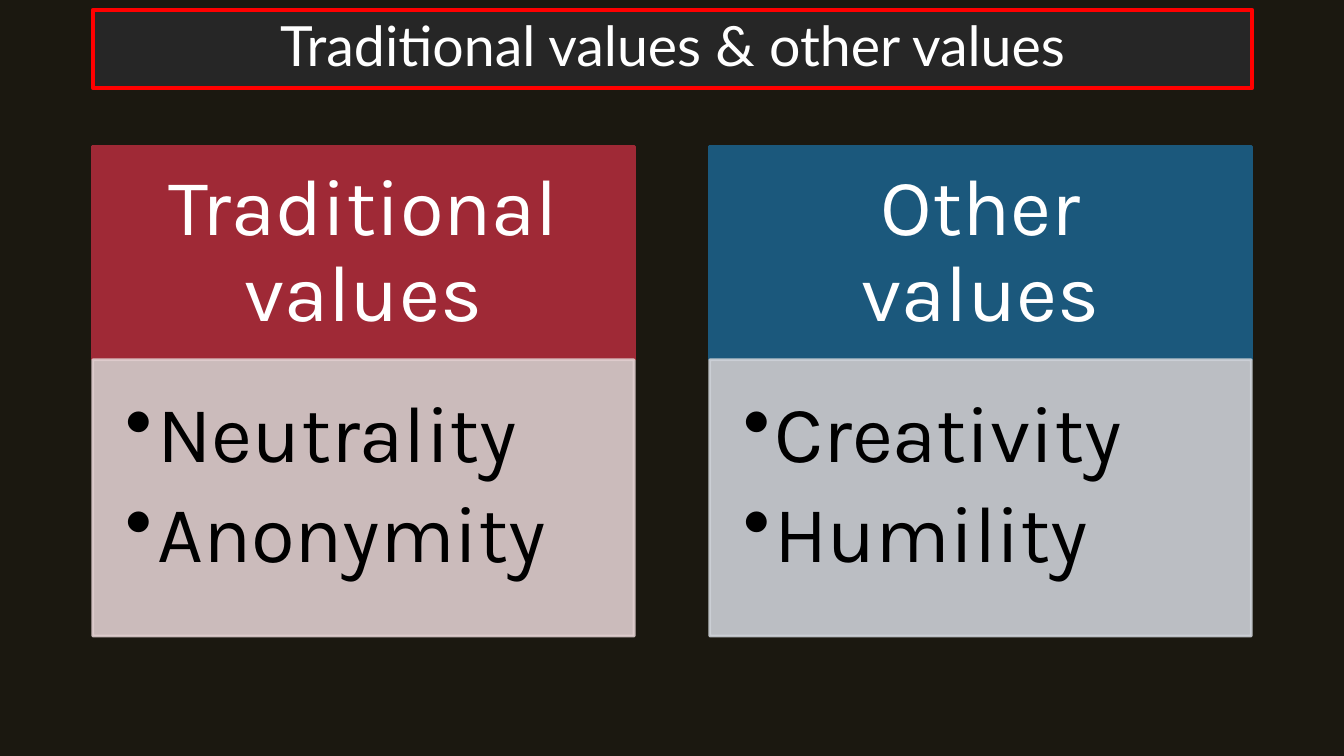
from lxml import etree
from pptx import Presentation
from pptx.dml.color import RGBColor
from pptx.enum.shapes import MSO_SHAPE as SHAPE
from pptx.enum.text import MSO_ANCHOR as ANCHOR, PP_ALIGN as ALIGN
from pptx.oxml.ns import qn
from pptx.util import Inches, Pt

TITLE = "Traditional values & other values"
COLUMNS = [
    ("Traditional values", "9F2936", "DFCDCE", ["Neutrality", "Anonymity"]),
    ("Other values", "1B587C", "CDD1D7", ["Creativity", "Humility"]),
]
LEFT, TOP, WIDTH, GAP = 0.92, 1.45, 5.37, 0.75
HEAD_H, BODY_H = 2.12, 2.74


def color(value):
    return RGBColor.from_string(value)


def paint(sp, fill, line, width):
    sp.fill.solid()
    sp.fill.fore_color.rgb = color(fill)
    sp.line.color.rgb = color(line)
    sp.line.width = Pt(width)


def fade(sp, percent):
    for clr in sp._element.spPr.iter(qn("a:srgbClr")):
        etree.SubElement(clr, qn("a:alpha")).set("val", str(percent * 1000))


def write(sp, lines, font, size, rgb, align, anchor, insets):
    tf = sp.text_frame
    tf.word_wrap = True
    tf.vertical_anchor = anchor
    tf.margin_left, tf.margin_top, tf.margin_right, tf.margin_bottom = map(Inches, insets)
    tf.text = "\n".join(lines)
    for p in tf.paragraphs:
        p.alignment = align
        p.line_spacing = 0.9
        for r in p.runs:
            r.font.name = font
            r.font.size = Pt(size)
            r.font.color.rgb = color(rgb)


def add_bullets(tf):
    for p in tf.paragraphs:
        p.level = 1
        p.space_after = Pt(10)
        pPr = p._p.get_or_add_pPr()
        pPr.set("marL", str(Inches(0.31)))
        pPr.set("indent", str(Inches(-0.31)))
        etree.SubElement(pPr, qn("a:buChar")).set("char", "•")


def add_box(s, x, y, h, fill):
    sp = s.shapes.add_shape(SHAPE.RECTANGLE, Inches(x), Inches(y), Inches(WIDTH), Inches(h))
    sp.shadow.inherit = False
    paint(sp, fill, fill, 2)
    return sp


def add_title(s):
    sp = s.shapes.title
    sp.left, sp.top, sp.width, sp.height = map(Inches, (LEFT, 0.1, 11.5, 0.77))
    geom = etree.Element(qn("a:prstGeom"), prst="roundRect")
    etree.SubElement(geom, qn("a:avLst"))
    sp._element.spPr.insert(1, geom)
    paint(sp, "262626", "FF0000", 3)
    write(sp, [TITLE], "Lato", 39.6, "FFFFFF", ALIGN.CENTER, ANCHOR.MIDDLE, (0.1, 0.05, 0.1, 0.05))


def main():
    prs = Presentation()
    prs.slide_width, prs.slide_height = Inches(13.33), Inches(7.5)
    s = prs.slides.add_slide(prs.slide_layouts[5])
    s.background.fill.solid()
    s.background.fill.fore_color.rgb = color("1B1810")
    add_title(s)
    for i, (heading, dark, light, items) in enumerate(COLUMNS):
        x = LEFT + i * (WIDTH + GAP)
        head = add_box(s, x, TOP, HEAD_H, dark)
        write(head, [heading], "Karla", 57, "FFFFFF", ALIGN.CENTER, ANCHOR.MIDDLE,
              (0.44, 0.25, 0.44, 0.25))
        body = add_box(s, x, TOP + HEAD_H, BODY_H, light)
        fade(body, 90)
        write(body, items, "Karla", 57, "000000", ALIGN.LEFT, ANCHOR.TOP,
              (0.33, 0.33, 0.44, 0.5))
        add_bullets(body.text_frame)
    prs.save("out.pptx")


if __name__ == "__main__":
    main()
